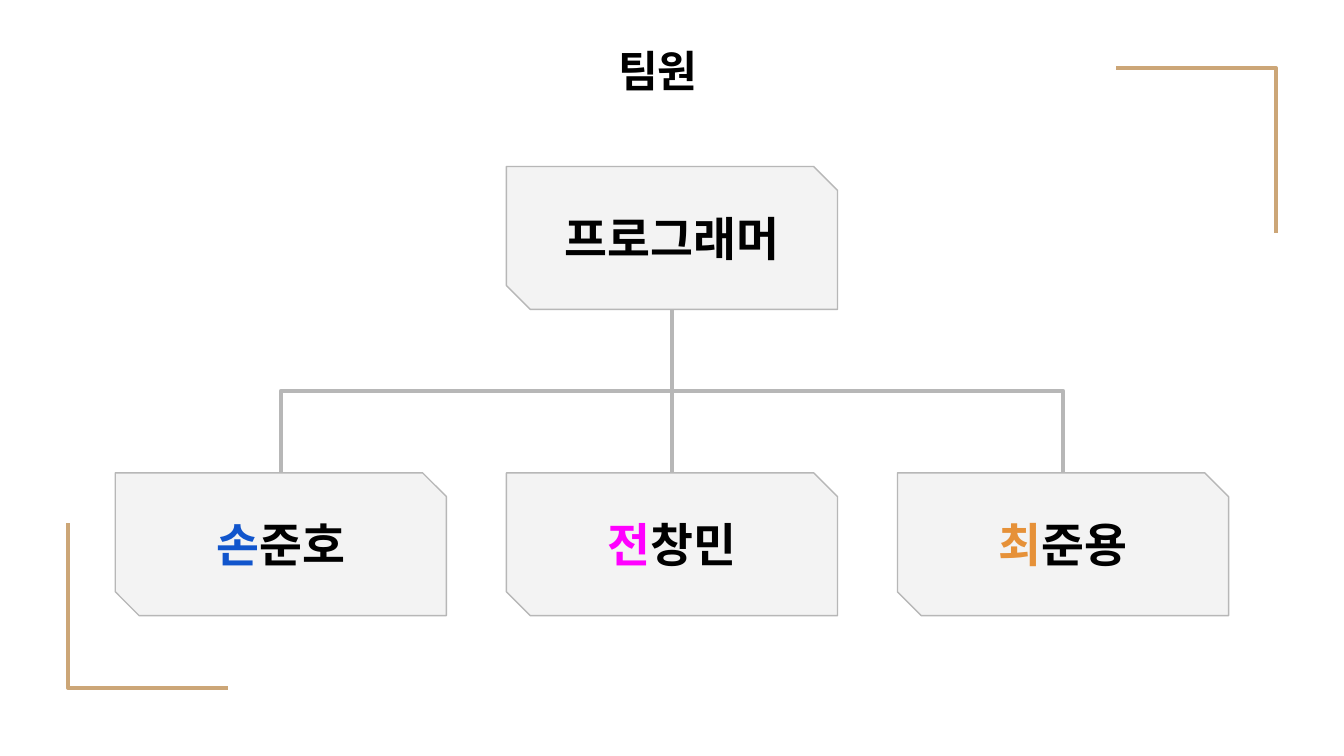
from lxml import etree
from pptx import Presentation
from pptx.dml.color import RGBColor
from pptx.enum.shapes import MSO_CONNECTOR, MSO_SHAPE
from pptx.enum.text import MSO_ANCHOR, PP_ALIGN
from pptx.oxml.ns import qn
from pptx.util import Pt

FONT = "Noto Sans CJK KR"
COLORS = {
    "text": "000000", "box": "F3F3F3", "line": "B7B7B7", "bracket": "CCA677",
    "blue": "1155CC", "magenta": "FF00FF", "orange": "E69138",
}


def add_run(paragraph, text, size, color):
    run = paragraph.add_run()
    run.text = text
    run.font.size = Pt(size)
    run.font.bold = True
    run.font.color.rgb = RGBColor.from_string(COLORS[color])
    run.font.name = FONT
    # Hangul takes the East Asian typeface
    etree.SubElement(run.font._element, qn("a:ea"), typeface=FONT)


def format_line(shape, color, width):
    shape.line.color.rgb = RGBColor.from_string(COLORS[color])
    shape.line.width = Pt(width)


presentation = Presentation()
presentation.slide_width = Pt(720)
presentation.slide_height = Pt(405)
slide = presentation.slides.add_slide(presentation.slide_layouts[5])
shapes = slide.shapes

# Corner brackets
brackets = [
    [(683.5, 124.7), (683.5, 36.4), (598, 36.4)],
    [(36.6, 280.3), (36.6, 368.6), (122, 368.6)],
]
for start, *others in brackets:
    builder = shapes.build_freeform(Pt(start[0]), Pt(start[1]))
    builder.add_line_segments([(Pt(x), Pt(y)) for x, y in others], close=False)
    bracket = builder.convert_to_shape()
    bracket.shadow.inherit = False
    bracket.fill.background()
    format_line(bracket, "bracket", 2.25)

# Title
title = shapes.title
title.left, title.top, title.width, title.height = Pt(324), Pt(18.7), Pt(72), Pt(55.4)
frame = title.text_frame
frame.word_wrap = True
frame.vertical_anchor = MSO_ANCHOR.TOP
frame.margin_left = frame.margin_right = frame.margin_top = frame.margin_bottom = Pt(7.2)
paragraph = frame.paragraphs[0]
paragraph.alignment = PP_ALIGN.LEFT
paragraph.line_spacing = 0.95
paragraph.space_after = Pt(12)
add_run(paragraph, "팀원", 23.2, "text")

# Organisation chart
box_width, box_height, column_step = 177.4, 76.5, 209.5
center_x, role_top, member_top = 360, 89.2, 253.3
role_bottom = role_top + box_height
drop = member_top - role_bottom
boxes = [
    (0, role_top, [("프로그래머", "text")]),
    (-1, member_top, [("손", "blue"), ("준호", "text")]),
    (0, member_top, [("전", "magenta"), ("창민", "text")]),
    (1, member_top, [("최", "orange"), ("준용", "text")]),
]
for column, top, runs in boxes:
    left = center_x + column * column_step - box_width / 2
    box = shapes.add_shape(MSO_SHAPE.SNIP_2_DIAG_RECTANGLE,
                           Pt(left), Pt(top), Pt(box_width), Pt(box_height))
    box.adjustments[0] = 0
    box.adjustments[1] = 0.167
    box.shadow.inherit = False
    box.fill.solid()
    box.fill.fore_color.rgb = RGBColor.from_string(COLORS["box"])
    format_line(box, "line", 0.75)
    frame = box.text_frame
    frame.word_wrap = True
    frame.vertical_anchor = MSO_ANCHOR.MIDDLE
    frame.margin_left = frame.margin_right = frame.margin_top = frame.margin_bottom = Pt(7.2)
    paragraph = frame.paragraphs[0]
    paragraph.alignment = PP_ALIGN.CENTER
    for text, color in runs:
        add_run(paragraph, text, 25, color)

# Connectors: the elbows are laid out sideways, then turned to leave downwards
middle_y = role_bottom + drop / 2
for column in (0, -1, 1):
    if column == 0:
        connector = shapes.add_connector(MSO_CONNECTOR.STRAIGHT, Pt(center_x),
                                         Pt(role_bottom), Pt(center_x), Pt(member_top))
    else:
        middle_x = center_x + column * column_step / 2
        connector = shapes.add_connector(
            MSO_CONNECTOR.ELBOW,
            Pt(middle_x + column * drop / 2), Pt(middle_y - column_step / 2),
            Pt(middle_x - column * drop / 2), Pt(middle_y + column_step / 2))
        angle = 90 if column < 0 else 270
        connector._element.spPr.find(qn("a:xfrm")).set("rot", str(angle * 60000))
    format_line(connector, "line", 2.25)
    etree.SubElement(connector._element.spPr, qn("a:effectLst"))

presentation.save("out.pptx")
